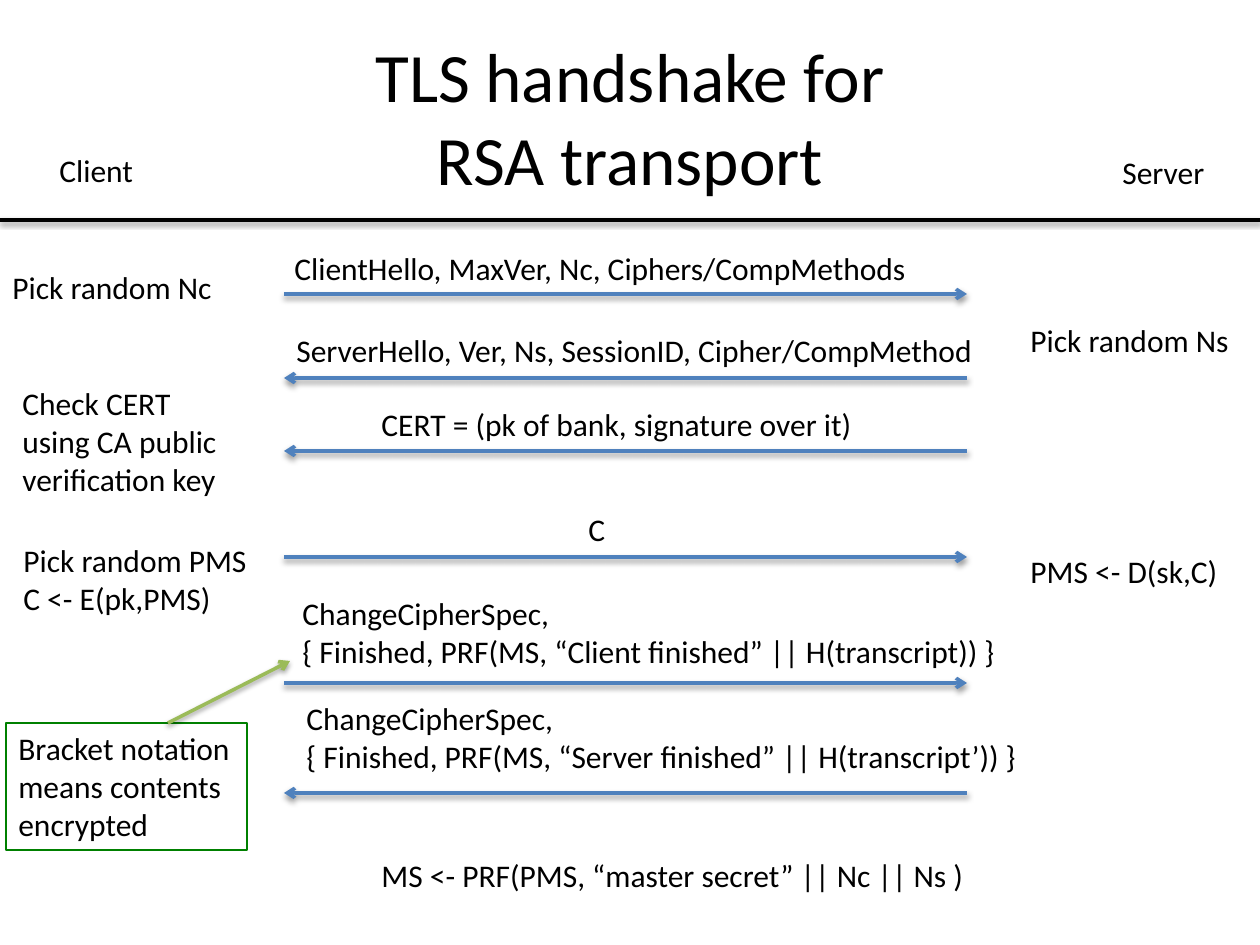
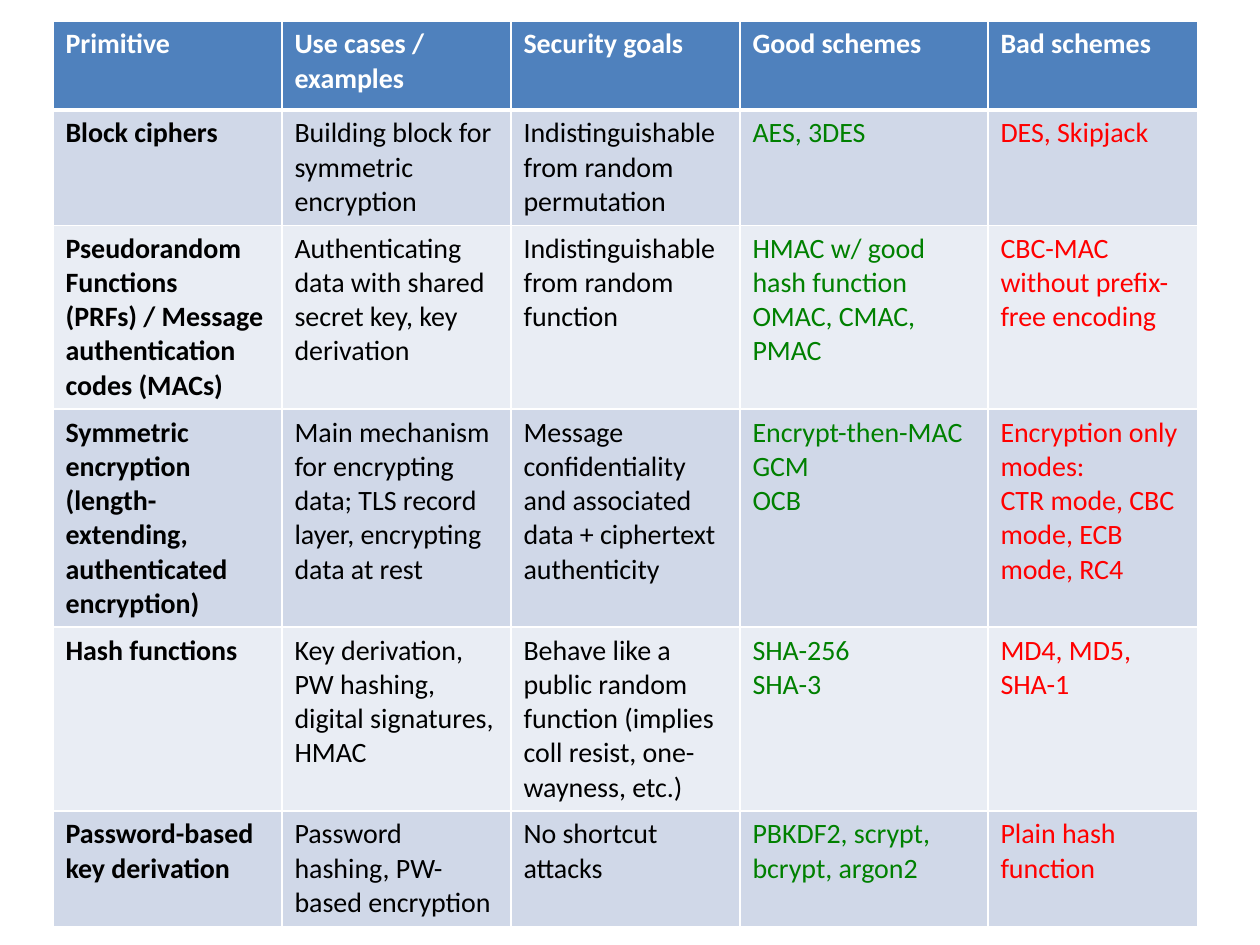
"""Builds two slides: the TLS handshake diagram and a table of cryptographic primitives."""
from pptx import Presentation
from pptx.dml.color import RGBColor
from pptx.enum.shapes import MSO_CONNECTOR as Connector, MSO_SHAPE as Shape
from pptx.enum.text import MSO_ANCHOR as Anchor, MSO_AUTO_SIZE as AutoSize, PP_ALIGN as Align
from pptx.oxml import parse_xml
from pptx.oxml.ns import nsdecls
from pptx.util import Pt

EMU_PER_PX = 914400 / 126
FONT = "Calibri"
BLACK = RGBColor(0x00, 0x00, 0x00)
WHITE = RGBColor(0xFF, 0xFF, 0xFF)
BLUE = RGBColor(0x4F, 0x81, 0xBD)
OLIVE = RGBColor(0x9B, 0xBB, 0x59)
GREEN = RGBColor(0x00, 0x80, 0x00)
RED = RGBColor(0xFF, 0x00, 0x00)
BAND_DARK = RGBColor(0xD0, 0xD8, 0xE8)
BAND_LIGHT = RGBColor(0xE9, 0xED, 0xF4)

SLIDE_SIZE = (1260, 945)
TITLE = "TLS handshake for\vRSA transport"
TITLE_BOX = (63, 38, 1134, 157)
HEADER_LINE_Y = 220
CLIENT_X, SERVER_X = 284, 967

LABELS = [
    ("Client", 47, 145, 101),
    ("Server", 1110, 147, 108),
    ("Pick random Nc", 0, 262, 227),
    ("Pick random Ns", 1018, 315, 227),
    ("Check CERT\nusing CA public\nverification key", 10, 378, 222),
    ("Pick random PMS\nC <- E(pk,PMS)", 11, 535, 252),
    ("PMS <- D(sk,C)", 1018, 546, 214),
    ("MS <- PRF(PMS, “master secret” || Nc || Ns )", 369, 850, 614),
]
TO_SERVER, TO_CLIENT = (CLIENT_X, SERVER_X), (SERVER_X, CLIENT_X)
MESSAGES = [
    ("ClientHello, MaxVer, Nc, Ciphers/CompMethods", 282, 243, 656, 294, TO_SERVER),
    ("ServerHello, Ver, Ns, SessionID, Cipher/CompMethod", 284, 325, 717, 378, TO_CLIENT),
    ("CERT = (pk of bank, signature over it)", 369, 399, 501, 451, TO_CLIENT),
    ("C", 576, 504, 43, 557, TO_SERVER),
    ("ChangeCipherSpec,\n{ Finished, PRF(MS, “Client finished” || H(transcript)) }",
     290, 588, 727, 683, TO_SERVER),
    ("ChangeCipherSpec,\n{ Finished, PRF(MS, “Server finished” || H(transcript’)) }",
     294, 693, 736, 793, TO_CLIENT),
]
NOTE = ("Bracket notation\nmeans contents\nencrypted", 6, 723, 241)
NOTE_ARROW = (168, 723, 290, 661)

TABLE_LEFT, TABLE_TOP = 53, 21
COLUMN_WIDTHS = [229, 229, 229, 248, 210]
HEADER_HEIGHT, ROW_HEIGHT = 89, 91
COLUMN_COLORS = [BLACK, BLACK, BLACK, GREEN, RED]
ROWS = [
    ("Primitive", "Use cases / examples", "Security goals", "Good schemes", "Bad schemes"),
    ("Block ciphers", "Building block for symmetric encryption",
     "Indistinguishable from random permutation", "AES, 3DES", "DES, Skipjack"),
    ("Pseudorandom Functions (PRFs) / Message authentication codes (MACs)",
     "Authenticating data with shared secret key, key derivation",
     "Indistinguishable from random function",
     "HMAC w/ good hash function\nOMAC, CMAC, PMAC", "CBC-MAC without prefix-free encoding"),
    ("Symmetric encryption (length-extending, authenticated encryption)",
     "Main mechanism for encrypting data; TLS record layer, encrypting data at rest",
     "Message confidentiality and associated data + ciphertext authenticity",
     "Encrypt-then-MAC\nGCM\nOCB",
     "Encryption only modes:\nCTR mode, CBC mode, ECB mode, RC4"),
    ("Hash functions", "Key derivation, PW hashing,\ndigital signatures, HMAC",
     "Behave like a public random function (implies coll resist, one-wayness, etc.)",
     "SHA-256\nSHA-3", "MD4, MD5, SHA-1"),
    ("Password-based key derivation", "Password hashing, PW-based encryption",
     "No shortcut attacks", "PBKDF2, scrypt, bcrypt, argon2", "Plain hash function"),
]


def px(*lengths):
    return [round(length * EMU_PER_PX) for length in lengths]


def write_text(frame, text, size=18, color=BLACK, bold=False, align=Align.LEFT):
    frame.text = text
    for paragraph in frame.paragraphs:
        paragraph.alignment = align
        for run in paragraph.runs:
            font = run.font
            font.name, font.size, font.bold = FONT, Pt(size), bold
            font.color.rgb = color


def label_box(text, left, top, width):
    lines = text.count("\n") + 1
    return px(left, top, width, round(12 + 38.4 * lines))


def fit_label(shape, text):
    frame = shape.text_frame
    write_text(frame, text)
    frame.word_wrap = False
    frame.vertical_anchor = Anchor.TOP
    frame.auto_size = AutoSize.SHAPE_TO_FIT_TEXT


def add_label(slide, text, left, top, width):
    fit_label(slide.shapes.add_textbox(*label_box(text, left, top, width)), text)


def add_line(slide, x1, y1, x2, y2, color, arrow=True):
    line = slide.shapes.add_connector(Connector.STRAIGHT, *px(x1, y1, x2, y2))
    line.line.color.rgb = color
    line.line.width = Pt(2)
    if arrow:
        line.line._get_or_add_ln().append(
            parse_xml(f'<a:tailEnd {nsdecls("a")} type="arrow"/>'))
    line._element.spPr.append(parse_xml(
        f'<a:effectLst {nsdecls("a")}><a:outerShdw blurRad="{Pt(3.1)}" dist="{Pt(1.6)}" '
        'dir="5400000" rotWithShape="0"><a:srgbClr val="000000"><a:alpha val="38000"/>'
        '</a:srgbClr></a:outerShdw></a:effectLst>'))


def build_handshake(slide):
    title = slide.shapes.add_textbox(*px(*TITLE_BOX)).text_frame
    title.word_wrap = True
    title.vertical_anchor = Anchor.MIDDLE
    write_text(title, TITLE, size=39.6, align=Align.CENTER)
    add_line(slide, 0, HEADER_LINE_Y, SLIDE_SIZE[0], HEADER_LINE_Y, BLACK, arrow=False)
    for label in LABELS:
        add_label(slide, *label)
    for text, left, top, width, arrow_y, (start, end) in MESSAGES:
        add_line(slide, start, arrow_y, end, arrow_y, BLUE)
        add_label(slide, text, left, top, width)
    note = slide.shapes.add_shape(Shape.RECTANGLE, *label_box(*NOTE))
    note.shadow.inherit = False
    note.fill.background()
    note.line.color.rgb = GREEN
    note.line.width = Pt(0.75)
    fit_label(note, NOTE[0])
    add_line(slide, *NOTE_ARROW, OLIVE)


def set_borders(cell, top, bottom):
    for side, width in (("L", 1), ("R", 1), ("T", top), ("B", bottom)):
        cell._tc.get_or_add_tcPr().append(parse_xml(
            f'<a:ln{side} {nsdecls("a")} w="{Pt(width)}"><a:solidFill>'
            f'<a:srgbClr val="{WHITE}"/></a:solidFill></a:ln{side}>'))


def build_primitives(slide):
    heights = [HEADER_HEIGHT] + [ROW_HEIGHT] * (len(ROWS) - 1)
    table = slide.shapes.add_table(
        len(ROWS), len(COLUMN_WIDTHS),
        *px(TABLE_LEFT, TABLE_TOP, sum(COLUMN_WIDTHS), sum(heights))).table
    for column, width in zip(table.columns, px(*COLUMN_WIDTHS)):
        column.width = width
    for row, height in zip(table.rows, px(*heights)):
        row.height = height
    for r, texts in enumerate(ROWS):
        header = r == 0
        band = BLUE if header else BAND_DARK if r % 2 else BAND_LIGHT
        for c, text in enumerate(texts):
            cell = table.cell(r, c)
            set_borders(cell, top=3 if r == 1 else 1, bottom=3 if header else 1)
            cell.fill.solid()
            cell.fill.fore_color.rgb = band
            write_text(cell.text_frame, text, size=16, bold=header or c == 0,
                       color=WHITE if header else COLUMN_COLORS[c])


def main():
    presentation = Presentation()
    presentation.slide_width, presentation.slide_height = px(*SLIDE_SIZE)
    blank = presentation.slide_layouts[6]
    for build in (build_handshake, build_primitives):
        build(presentation.slides.add_slide(blank))
    presentation.save("out.pptx")


if __name__ == "__main__":
    main()
